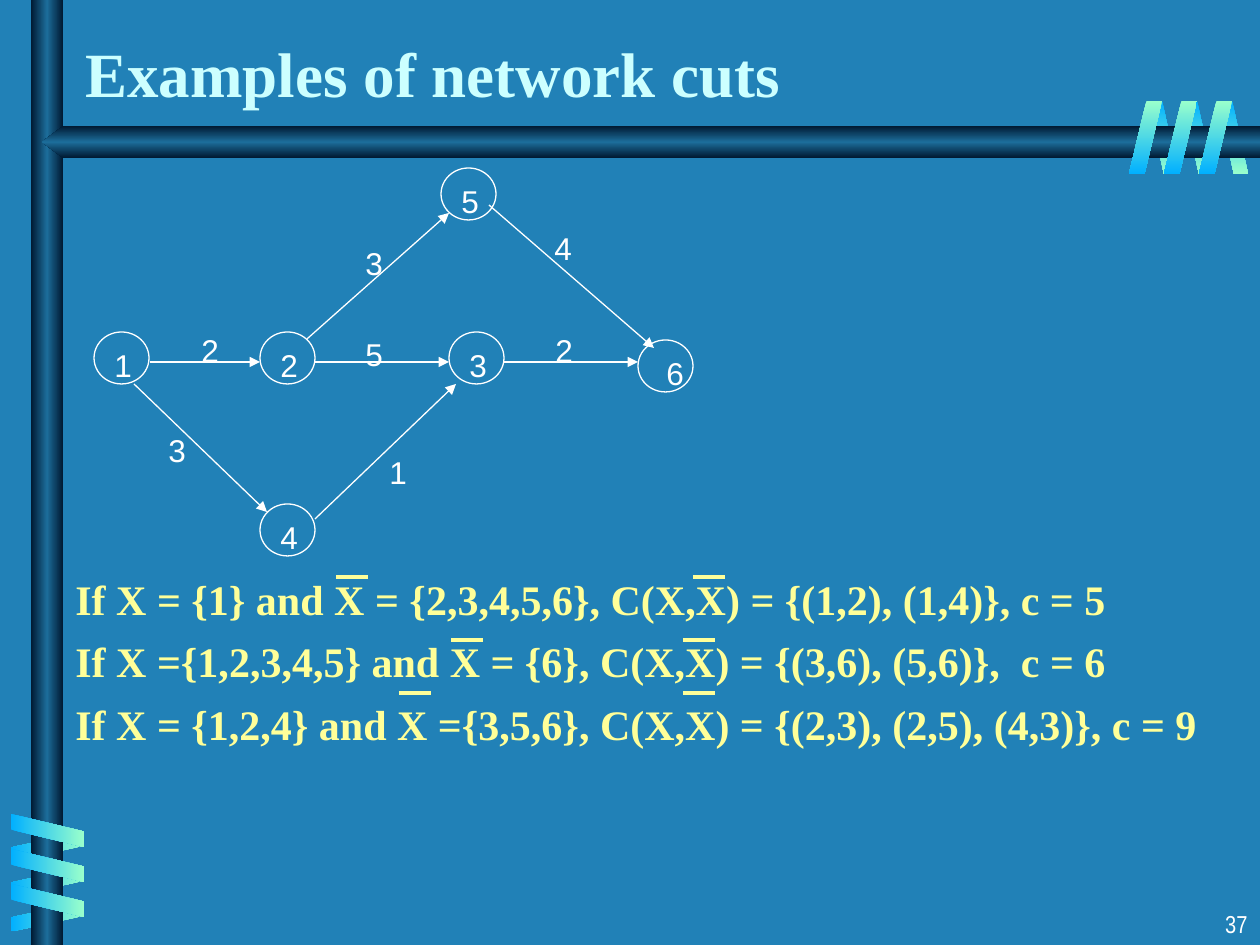
"""Build the slide on network cuts: a numbered graph with three example cuts."""
from lxml.etree import SubElement
from pptx import Presentation
from pptx.dml.color import RGBColor
from pptx.enum.shapes import MSO_CONNECTOR as CONNECTOR, MSO_SHAPE as SHAPE
from pptx.enum.text import MSO_ANCHOR as ANCHOR, PP_ALIGN as ALIGN
from pptx.oxml.ns import qn
from pptx.util import Pt

PX = 7257
BLUE = RGBColor(0x21, 0x81, 0xB7)
SKY = RGBColor(0x01, 0xB0, 0xFF)
MINT = RGBColor(0x99, 0xFF, 0xCC)
NAVY = RGBColor(0x00, 0x19, 0x32)
STEEL = RGBColor(0x1C, 0x6D, 0x9A)
WHITE = RGBColor(0xFF, 0xFF, 0xFF)
PALE_CYAN = RGBColor(0xCC, 0xFF, 0xFF)
YELLOW = RGBColor(0xFF, 0xFF, 0x99)

presentation = Presentation()
presentation.slide_width = 1260 * PX
presentation.slide_height = 945 * PX
slide = presentation.slides.add_slide(presentation.slide_layouts[6])
slide.background.fill.solid()
slide.background.fill.fore_color.rgb = BLUE
shapes = slide.shapes


def add_text(text, left, top, width, height, size=18, font="Arial", color=WHITE, bold=False,
             align=ALIGN.LEFT, anchor=ANCHOR.TOP, wrap=True, gap=0):
    box = shapes.add_textbox(left * PX, top * PX, width * PX, height * PX)
    frame = box.text_frame
    frame.word_wrap = wrap
    frame.vertical_anchor = anchor
    frame.text = text
    for index, paragraph in enumerate(frame.paragraphs):
        paragraph.alignment = align
        paragraph.space_before = Pt(gap if index else 0)
        paragraph.font.size = Pt(size)
        paragraph.font.name = font
        paragraph.font.bold = bold
        paragraph.font.color.rgb = color


def paint_gradient(shape, colors, angle):
    shape.shadow.inherit = False
    shape.line.fill.background()
    shape.fill.gradient()
    shape.fill.gradient_angle = angle
    gradient = shape._element.spPr.find(qn("a:gradFill"))
    gradient.set("rotWithShape", "0")
    stops = gradient.find(qn("a:gsLst"))
    stops.clear()
    for index, color in enumerate(colors):
        stop = SubElement(stops, qn("a:gs"), pos=str(index * 100000 // (len(colors) - 1)))
        SubElement(stop, qn("a:srgbClr"), val=str(color))


BACK_RIBBONS = [
    (1148, 101, 30, 35, 0, 180, True, (SKY, MINT), 270),
    (33, 810, 30, 0, 35, 90, True, (MINT, SKY), 0),
]
FRONT_RIBBONS = [
    (31, 794, 33, 0, 35, 270, False, (SKY, MINT), 0),
    (1129, 101, 33, 35, 0, 0, False, (MINT, SKY), 270),
]
for ribbons in (BACK_RIBBONS, FRONT_RIBBONS):
    for left, top, width, step_x, step_y, rotation, flipped, colors, angle in ribbons:
        for index in range(3):
            ribbon = shapes.add_shape(SHAPE.PARALLELOGRAM, (left + index * step_x) * PX,
                                      (top + index * step_y) * PX, width * PX, 73 * PX)
            ribbon.adjustments[0] = 0.53
            ribbon.rotation = rotation
            if flipped:
                ribbon._element.spPr.xfrm.set("flipH", "1")
            paint_gradient(ribbon, colors, angle)
    if ribbons is BACK_RIBBONS:
        column = shapes.add_shape(SHAPE.RECTANGLE, 31 * PX, 0, 32 * PX, 945 * PX)
        paint_gradient(column, (NAVY, STEEL, NAVY), 0)
        builder = shapes.build_freeform(1260, 126, PX)
        builder.add_line_segments([(63, 126), (42, 142), (63, 158), (1260, 158)])
        paint_gradient(builder.convert_to_shape(), (NAVY, STEEL, NAVY), 270)

add_text("37", 998, 903, 262, 42, size=14, font="Arial Narrow", align=ALIGN.RIGHT)
add_text("Examples of network cuts", 73, 21, 1018, 95, size=36, font="Times New Roman",
         color=PALE_CYAN, bold=True, anchor=ANCHOR.BOTTOM)
CUTS = [
    "If X = {1} and X = {2,3,4,5,6}, C(X,X) = {(1,2), (1,4)}, c = 5",
    "If X ={1,2,3,4,5} and X = {6}, C(X,X) = {(3,6), (5,6)},  c = 6",
    "If X = {1,2,4} and X ={3,5,6}, C(X,X) = {(2,3), (2,5), (4,3)}, c = 9",
]
add_text("\n".join(CUTS), 63, 567, 1176, 418, size=24, font="Times New Roman",
         color=YELLOW, bold=True, gap=7)

NODES = [("1", 94, 332, 8), ("2", 260, 332, 8), ("3", 449, 332, 8),
         ("4", 260, 504, 8), ("5", 441, 168, 8), ("6", 638, 340, 16)]
for name, left, top, indent in NODES:
    node = shapes.add_shape(SHAPE.OVAL, left * PX, top * PX, 55 * PX, 52 * PX)
    node.shadow.inherit = False
    node.fill.background()
    node.line.color.rgb = WHITE
    node.line.width = Pt(0.75)
    add_text(name, left + indent, top + 8, 43, 50, wrap=False)

EDGE_WEIGHTS = [("2", 189, 325), ("2", 543, 325), ("3", 156, 425), ("1", 377, 447),
                ("5", 353, 329), ("3", 353, 238), ("4", 542, 223)]
for weight, left, top in EDGE_WEIGHTS:
    add_text(weight, left, top, 43, 50, wrap=False)

EDGES = [(134, 384, 267, 512), (150, 362, 260, 362), (307, 339, 449, 213),
         (315, 362, 449, 362), (315, 519, 456, 384), (504, 362, 638, 362),
         (489, 205, 654, 348)]
OVERBARS = [(left, top, left + 32, top) for left, top in
            [(336, 577), (693, 577), (451, 640), (683, 640), (399, 693), (683, 693)]]
for lines, color, width in ((EDGES, WHITE, 0.75), (OVERBARS, YELLOW, 2.25)):
    for ends in lines:
        line = shapes.add_connector(CONNECTOR.STRAIGHT, *(end * PX for end in ends))
        line.line.color.rgb = color
        line.line.width = Pt(width)
        if lines is EDGES:
            SubElement(line.line._get_or_add_ln(), qn("a:tailEnd"), type="triangle")
        SubElement(line._element.spPr, qn("a:effectLst"))

presentation.save("out.pptx")
